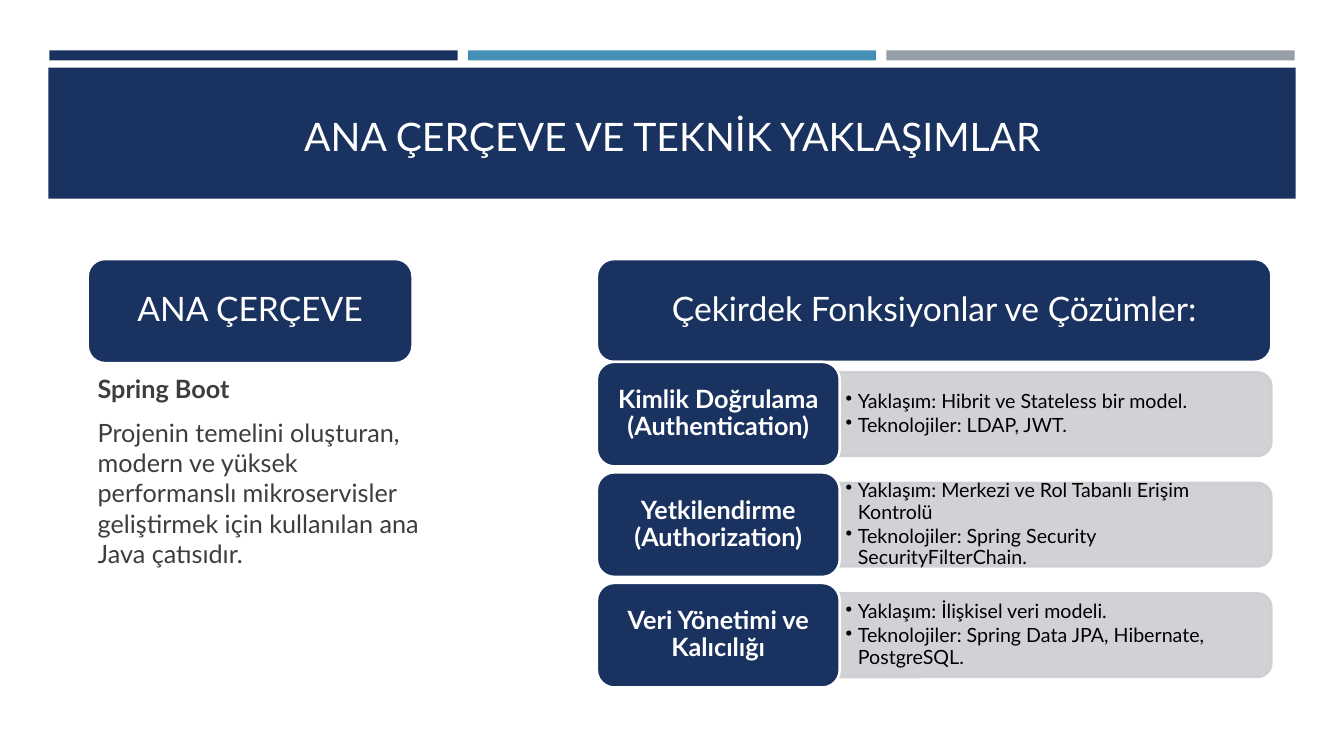
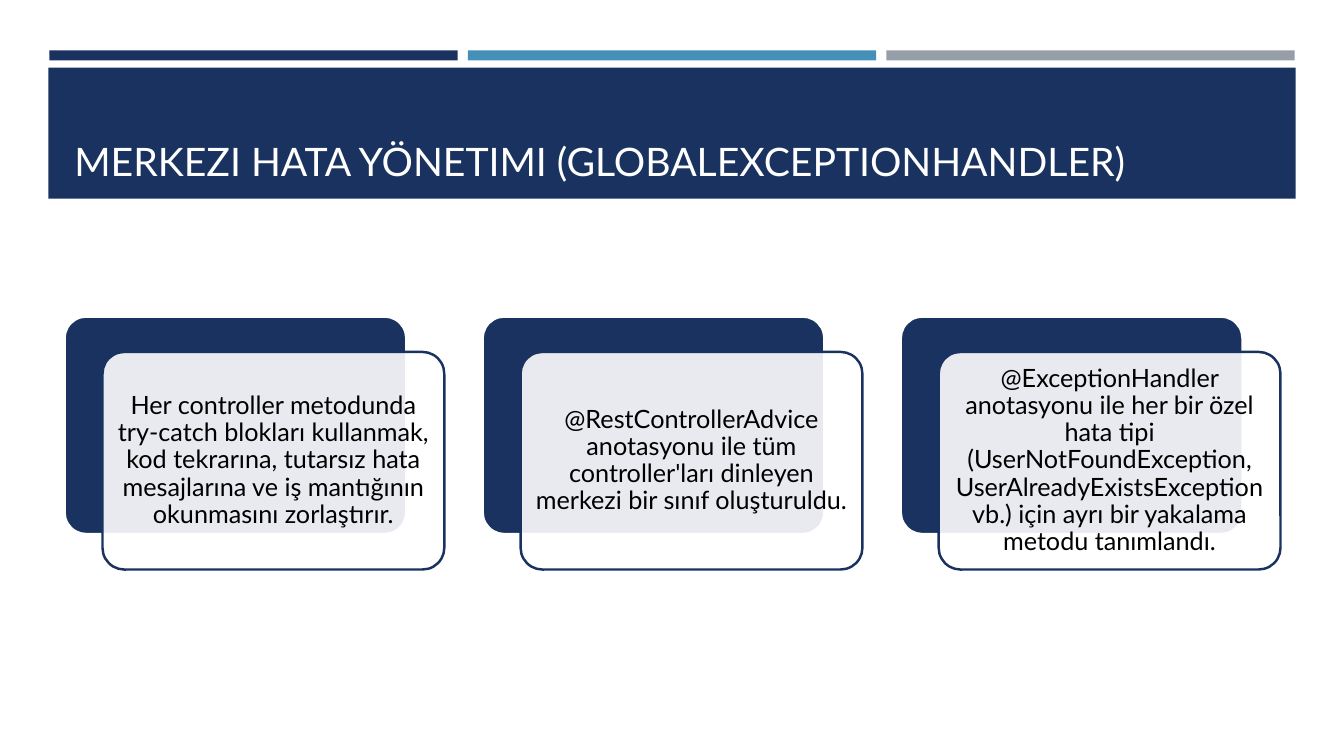
from dataclasses import dataclass

from lxml.etree import SubElement
from pptx import Presentation
from pptx.dml.color import RGBColor
from pptx.enum.shapes import MSO_SHAPE
from pptx.enum.text import MSO_ANCHOR, PP_ALIGN
from pptx.oxml.ns import qn
from pptx.util import Inches, Pt


@dataclass(frozen=True)
class Theme:
    """Colours, font and type sizes shared by the deck."""
    navy: str = "1A3260"
    blue: str = "4590B8"
    grey: str = "969FA7"
    panel: str = "CDCED2"
    white: str = "FFFFFF"
    body: str = "3D3D3D"
    black: str = "000000"
    font: str = "Lato"
    title_size: int = 28
    header_size: int = 24
    text_size: int = 18
    bullet_size: int = 14
    outline: float = 1.75
    opacity: int = 90


@dataclass(frozen=True)
class Box:
    """A rectangle in inches that can be divided by share or by grid."""
    left: float
    top: float
    width: float
    height: float

    def area(self, left, top, width, height):
        """Return the area given as shares of this box."""
        return Box(self.left + left * self.width, self.top + top * self.height,
                   width * self.width, height * self.height)

    def columns(self, count, gap):
        """Split into equal columns."""
        width = (self.width - gap * (count - 1)) / count
        return [Box(self.left + i * (width + gap), self.top, width, self.height)
                for i in range(count)]

    def rows(self, count, gap):
        """Split into equal rows."""
        height = (self.height - gap * (count - 1)) / count
        return [Box(self.left, self.top + i * (height + gap), self.width, height)
                for i in range(count)]

    def turned(self):
        """Return the box that covers this one after a quarter turn."""
        return Box(self.left + (self.width - self.height) / 2,
                   self.top + (self.height - self.width) / 2,
                   self.height, self.width)

    def lengths(self):
        """Return left, top, width and height as slide lengths."""
        return [Inches(n) for n in (self.left, self.top, self.width, self.height)]


THEME = Theme()
SLIDE = Box(0, 0, 13.33, 7.5)
BARS = Box(0.49, 0.5, 12.35, 0.1)
BAND = Box(0.48, 0.67, 12.37, 1.3)


def set_opacity(colour_owner, percent):
    """Make every solid fill directly inside an element partly transparent."""
    for colour in colour_owner.findall(qn("a:solidFill") + "/*"):
        SubElement(colour, qn("a:alpha")).set("val", str(percent * 1000))


def add_block(page, box, kind, fill, line=None, radius=None):
    """Add a filled shape with an optional outline and corner radius."""
    block = page.shapes.add_shape(kind, *box.lengths())
    block.shadow.inherit = False
    block.fill.solid()
    block.fill.fore_color.rgb = RGBColor.from_string(fill)
    if line:
        block.line.color.rgb = RGBColor.from_string(line)
        block.line.width = Pt(THEME.outline)
    else:
        block.line.fill.background()
    if radius:
        block.adjustments[0] = radius
    return block


def write(shape, lines, size, colour, align=PP_ALIGN.LEFT, anchor=MSO_ANCHOR.MIDDLE,
          bold=False, inset=(0.1, 0.05), spacing=0.9):
    """Fill a shape with evenly styled paragraphs and return them."""
    frame = shape.text_frame
    frame.word_wrap = True
    frame.vertical_anchor = anchor
    frame.margin_left = frame.margin_right = Inches(inset[0])
    frame.margin_top = frame.margin_bottom = Inches(inset[1])
    frame.text = "\n".join(lines)
    for para in frame.paragraphs:
        para.alignment = align
        para.line_spacing = spacing
        for span in para.runs:
            span.font.name = THEME.font
            span.font.size = Pt(size)
            span.font.bold = bold
            span.font.color.rgb = RGBColor.from_string(colour)
    return frame.paragraphs


def add_bullet(para):
    """Give a paragraph a hanging bullet."""
    para.space_after = Pt(2)
    properties = para._p.get_or_add_pPr()
    properties.set("marL", str(Inches(0.12)))
    properties.set("indent", str(-Inches(0.12)))
    SubElement(properties, qn("a:buChar")).set("char", "•")


def add_page(deck, title, title_top, align):
    """Add a page with the three bars, the title band and the title."""
    page = deck.slides.add_slide(deck.slide_layouts[6])
    for bar, colour in zip(BARS.columns(3, 0.1), (THEME.navy, THEME.blue, THEME.grey)):
        add_block(page, bar, MSO_SHAPE.RECTANGLE, colour)
    add_block(page, BAND, MSO_SHAPE.RECTANGLE, THEME.navy)
    title_box = page.shapes.add_textbox(*Box(0.64, title_top, 12.06, 1.11).lengths())
    write(title_box, [title], THEME.title_size, THEME.white, align,
          MSO_ANCHOR.BOTTOM, spacing=1.0)
    return page


def add_label(page, box, text, size, bold=False, inset=(0.1, 0.05)):
    """Add a navy rounded label with centred white text."""
    label = add_block(page, box, MSO_SHAPE.ROUNDED_RECTANGLE, THEME.navy, THEME.white)
    write(label, [text], size, THEME.white, PP_ALIGN.CENTER, bold=bold, inset=inset)


def add_framework(page, box, header, name, description):
    """Add the framework header with its name and description below."""
    add_label(page, box.area(0, 0, 0.9, 0.29), header, THEME.header_size)
    body = page.shapes.add_textbox(*box.area(0, 0.18, 1, 0.82).lengths())
    paras = write(body, [name, description], THEME.text_size, THEME.body, spacing=1.0)
    for para in paras:
        para.space_before, para.space_after = Pt(4), Pt(6)
    paras[0].runs[0].font.bold = True


def add_function_row(page, box, name, points):
    """Add a label with its grey panel of bullets."""
    panel_box = box.area(0.36, 0.1, 0.64, 0.8)
    panel = add_block(page, panel_box.turned(), MSO_SHAPE.ROUND_2_SAME_RECTANGLE,
                      THEME.panel, THEME.panel)
    panel.rotation = 90
    properties = panel.element.spPr
    set_opacity(properties, THEME.opacity)
    set_opacity(properties.find(qn("a:ln")), THEME.opacity)
    bullets = page.shapes.add_textbox(*panel_box.area(0, 0.05, 0.99, 0.9).lengths())
    for para in write(bullets, points, THEME.bullet_size, THEME.black, inset=(0.06, 0.03)):
        add_bullet(para)
    add_label(page, box.area(0, 0, 0.36, 1), name, THEME.text_size, True, (0.07, 0.04))


def add_functions(page, box, header, functions):
    """Add the functions header above one row for each function."""
    add_label(page, box.area(0, 0, 1, 0.24), header, THEME.header_size)
    rows = box.area(0, 0.24, 1, 0.76).rows(len(functions), 0.06)
    for row, (name, points) in zip(rows, functions):
        add_function_row(page, row, name, points)


def add_card(page, box, text):
    """Add a translucent text card over a navy backing."""
    rounded = MSO_SHAPE.ROUNDED_RECTANGLE
    add_block(page, box.area(0, 0, 0.9, 0.86), rounded, THEME.navy, THEME.white, 0.1)
    front = add_block(page, box.area(0.1, 0.14, 0.9, 0.86), rounded,
                      THEME.white, THEME.navy, 0.1)
    set_opacity(front.element.spPr, THEME.opacity)
    write(front, [text], THEME.text_size, THEME.black, PP_ALIGN.CENTER, inset=(0.07, 0.07))


def build_approach(deck):
    """Build the page on the framework and technical approaches."""
    page = add_page(deck, "ANA ÇERÇEVE VE TEKNİK YAKLAŞIMLAR", 0.52, PP_ALIGN.CENTER)
    add_functions(page, Box(5.92, 2.57, 6.69, 4.25), "Çekirdek Fonksiyonlar ve Çözümler:", [
        ("Kimlik Doğrulama (Authentication)",
         ["Yaklaşım: Hibrit ve Stateless bir model.", "Teknolojiler: LDAP, JWT."]),
        ("Yetkilendirme (Authorization)",
         ["Yaklaşım: Merkezi ve Rol Tabanlı Erişim Kontrolü",
          "Teknolojiler: Spring Security SecurityFilterChain."]),
        ("Veri Yönetimi ve Kalıcılığı",
         ["Yaklaşım: İlişkisel veri modeli.",
          "Teknolojiler: Spring Data JPA, Hibernate, PostgreSQL."]),
    ])
    add_framework(page, Box(0.87, 2.57, 3.58, 3.56), "ANA ÇERÇEVE", "Spring Boot",
                  "Projenin temelini oluşturan, modern ve yüksek performanslı "
                  "mikroservisler geliştirmek için kullanılan ana Java çatısıdır.")


def build_errors(deck):
    """Build the page on central error handling."""
    page = add_page(deck, "MERKEZI HATA YÖNETIMI (GLOBALEXCEPTIONHANDLER)", 0.77,
                    PP_ALIGN.LEFT)
    texts = [
        "Her controller metodunda try-catch blokları kullanmak, kod tekrarına, "
        "tutarsız hata mesajlarına ve iş mantığının okunmasını zorlaştırır.",
        "@RestControllerAdvice anotasyonu ile tüm controller'ları dinleyen "
        "merkezi bir sınıf oluşturuldu.",
        "@ExceptionHandler anotasyonu ile her bir özel hata tipi "
        "(UserNotFoundException, UserAlreadyExistsException vb.) için ayrı bir "
        "yakalama metodu tanımlandı.",
    ]
    for column, text in zip(Box(0.64, 3.14, 12.06, 2.51).columns(3, 0.38), texts):
        add_card(page, column, text)


def main():
    """Build and save the deck."""
    deck = Presentation()
    deck.slide_width, deck.slide_height = SLIDE.lengths()[2:]
    build_approach(deck)
    build_errors(deck)
    deck.save("out.pptx")


if __name__ == "__main__":
    main()
